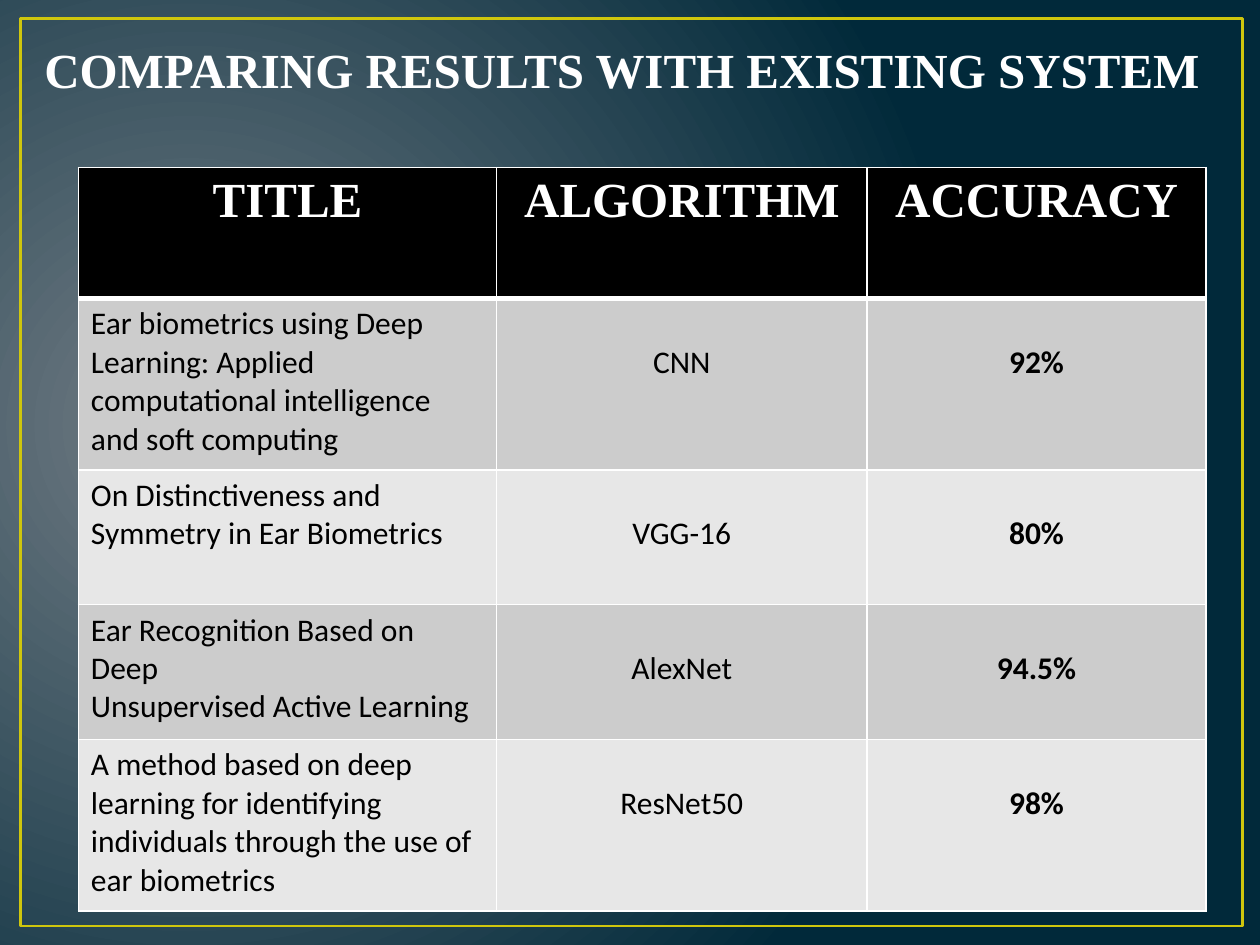
"""Build a slide that compares ear biometric results with existing systems."""
from dataclasses import dataclass

from lxml.etree import SubElement as Sub
from pptx import Presentation as Deck
from pptx.dml.color import RGBColor as Rgb
from pptx.enum.shapes import MSO_SHAPE as Kind
from pptx.enum.text import MSO_ANCHOR as Anchor, MSO_AUTO_SIZE as Fit, PP_ALIGN as Align
from pptx.oxml import parse_xml as to_xml
from pptx.oxml.ns import nsdecls, qn
from pptx.util import Cm, Pt


@dataclass(frozen=True)
class Theme:
    glow: str = "717C84"
    deep: str = "01293A"
    gold: str = "CFC60D"
    white: str = "FFFFFF"
    black: str = "000000"
    bands: tuple = ("CCCCCC", "E7E7E7")
    serif: str = "Times New Roman"
    sans: str = "Calibri"
    big: int = 28
    small: int = 18


LOOK = Theme()
COLS = (8.43, 7.47, 6.83)
ROWS = (2.64, 3.45, 2.72, 2.72, 3.45)
HEAD = ("TITLE", "ALGORITHM", "ACCURACY")
WORKS = (
    ("Ear biometrics using Deep Learning: Applied computational intelligence "
     "and soft computing", "CNN", "92%"),
    ("On Distinctiveness and Symmetry in Ear Biometrics", "VGG-16", "80%"),
    ("Ear Recognition Based on Deep\nUnsupervised Active Learning", "AlexNet", "94.5%"),
    ("A method based on deep learning for identifying individuals through "
     "the use of ear biometrics", "ResNet50", "98%"),
)


def paint(slide):
    back = slide.background.fill
    back.solid()
    solid = slide.element.find(".//" + qn("a:solidFill"))
    grad = to_xml(
        f'<a:gradFill {nsdecls("a")} rotWithShape="1"><a:gsLst>'
        f'<a:gs pos="0"><a:srgbClr val="{LOOK.glow}"/></a:gs>'
        f'<a:gs pos="100000"><a:srgbClr val="{LOOK.deep}"/></a:gs></a:gsLst>'
        '<a:path path="circle"><a:fillToRect l="15000" t="50000" r="85000" b="60000"/>'
        '</a:path></a:gradFill>')
    solid.getparent().replace(solid, grad)


def write(frame, text, face, size, color, bold, align):
    for num, line in enumerate(text.split("\n")):
        para = frame.add_paragraph() if num else frame.paragraphs[0]
        para.alignment = align
        run = para.add_run()
        run.text = line
        font = run.font
        font.name, font.size, font.bold = face, Pt(size), bold
        font.color.rgb = Rgb.from_string(color)


def add_frame(slide):
    box = slide.shapes.add_shape(Kind.RECTANGLE, Cm(0.41), Cm(0.38), Cm(24.64), Cm(18.29))
    box.shadow.inherit = False
    box.fill.background()
    box.line.color.rgb = Rgb.from_string(LOOK.gold)
    box.line.width = Pt(1.5)


def set_title(slide, text):
    title = slide.shapes.title
    title.left, title.top, title.width, title.height = Cm(0.64), Cm(0.66), Cm(25.53), Cm(1.45)
    frame = title.text_frame
    frame.word_wrap = True
    frame.auto_size = Fit.SHAPE_TO_FIT_TEXT
    frame.vertical_anchor = Anchor.TOP
    write(frame, text, LOOK.serif, LOOK.big, LOOK.white, True, Align.LEFT)


def edge(cell, **wide):
    props = cell._tc.get_or_add_tcPr()
    for side in "LRTB":
        line = Sub(props, qn(f"a:ln{side}"), w=str(Pt(wide.get(side, 1))))
        Sub(Sub(line, qn("a:solidFill")), qn("a:srgbClr"), val=LOOK.white)


def fill_cell(cell, color):
    cell.fill.solid()
    cell.fill.fore_color.rgb = Rgb.from_string(color)


def add_grid(slide):
    shape = slide.shapes.add_table(
        len(ROWS), len(COLS), Cm(1.58), Cm(3.38), Cm(sum(COLS)), Cm(sum(ROWS)))
    grid = shape.table
    for col, wide in zip(grid.columns, COLS):
        col.width = Cm(wide)
    for row, high in zip(grid.rows, ROWS):
        row.height = Cm(high)
    for col, text in enumerate(HEAD):
        cell = grid.cell(0, col)
        edge(cell, B=3)
        fill_cell(cell, LOOK.black)
        write(cell.text_frame, text, LOOK.serif, LOOK.big, LOOK.white, True, Align.CENTER)
    for row, work in enumerate(WORKS, 1):
        for col, text in enumerate(work):
            cell = grid.cell(row, col)
            edge(cell, T=3 if row == 1 else 1)
            fill_cell(cell, LOOK.bands[(row - 1) % 2])
            if col:
                cell.margin_top = Cm(0.9)
            write(cell.text_frame, text, LOOK.sans, LOOK.small, LOOK.black,
                  col == 2, Align.CENTER if col else Align.LEFT)


def main():
    deck = Deck()
    deck.slide_width, deck.slide_height = Cm(25.4), Cm(19.05)
    slide = deck.slides.add_slide(deck.slide_layouts[5])
    paint(slide)
    add_frame(slide)
    set_title(slide, "COMPARING RESULTS WITH EXISTING SYSTEM")
    add_grid(slide)
    deck.save("out.pptx")


if __name__ == "__main__":
    main()
